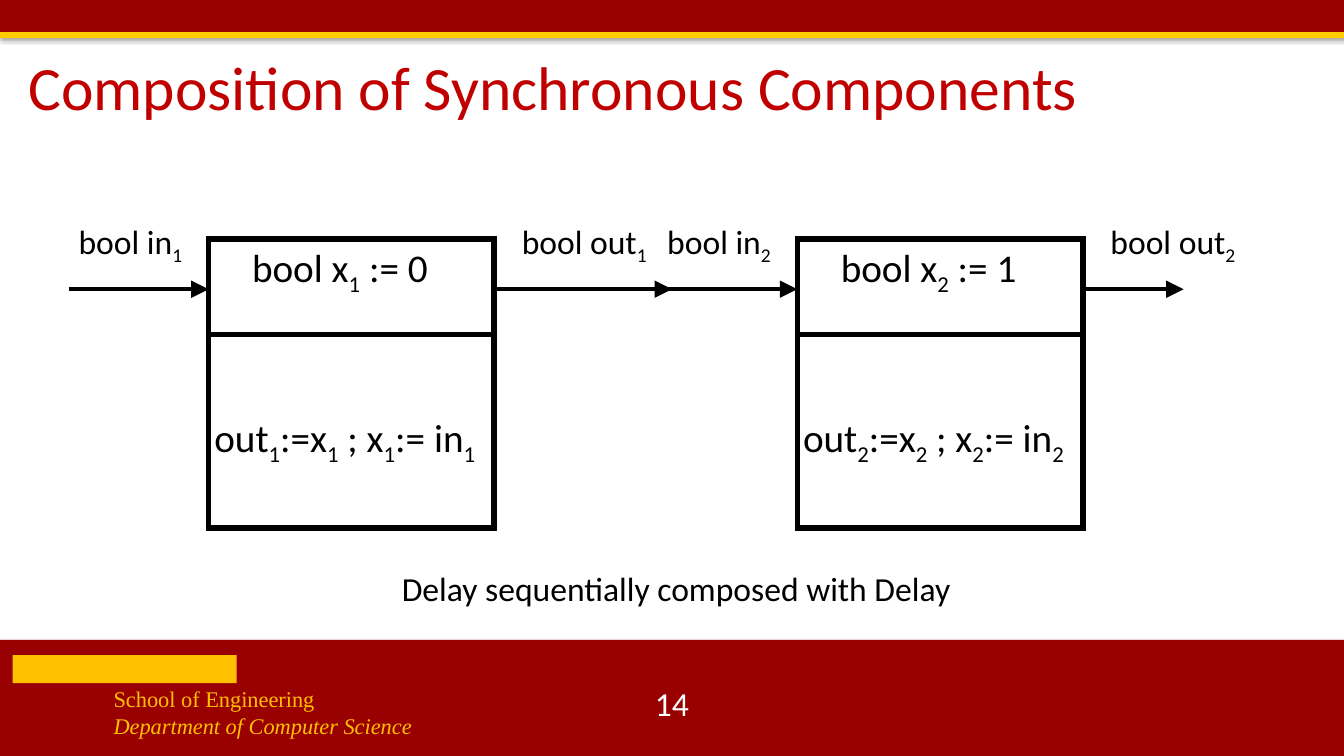
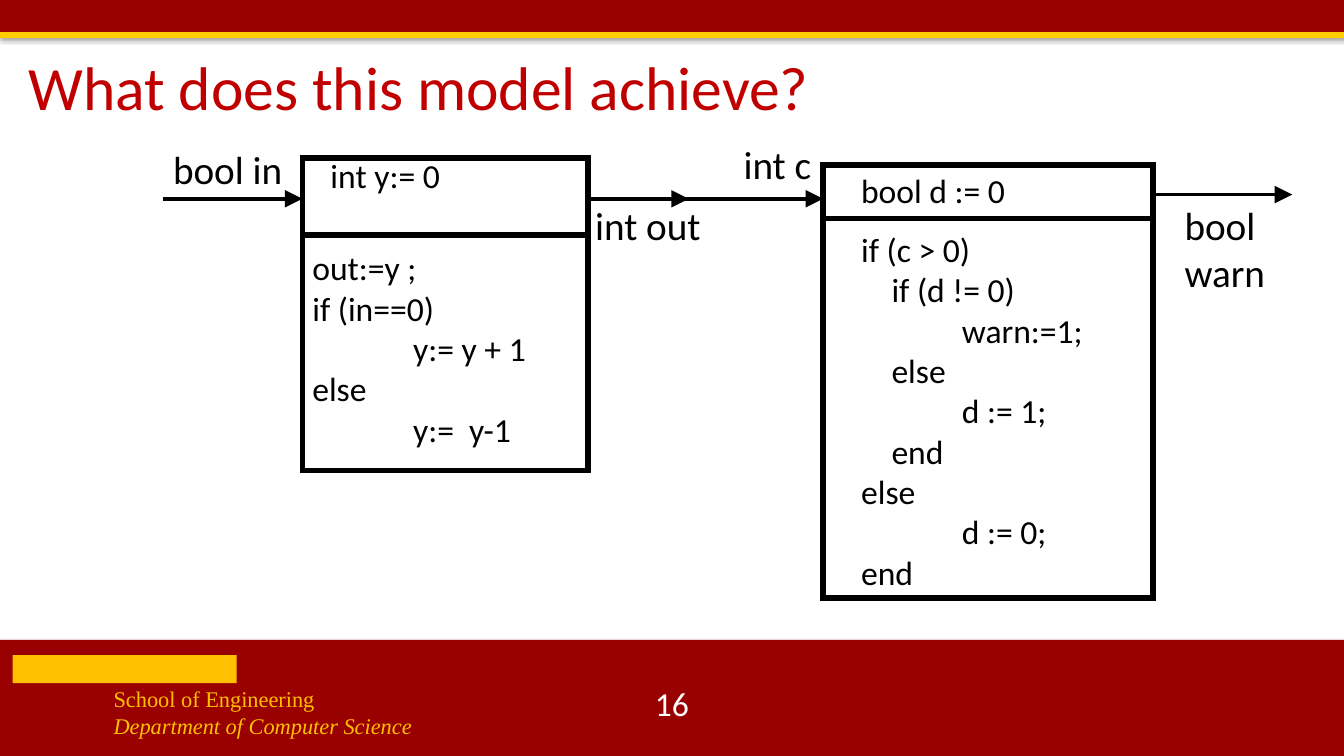
"""Build two lecture slides on composing synchronous components."""
import lxml.etree
import pptx
import pptx.dml.color
import pptx.enum.shapes
import pptx.enum.text
import pptx.oxml
import pptx.oxml.ns
import pptx.util

Pt = pptx.util.Pt
RGBColor = pptx.dml.color.RGBColor
ALIGN = pptx.enum.text.PP_ALIGN
ANCHOR = pptx.enum.text.MSO_ANCHOR
qn = pptx.oxml.ns.qn

CARDINAL = RGBColor(0x99, 0x00, 0x00)
GOLD = RGBColor(0xFF, 0xCC, 0x00)
FOOTER_GOLD = RGBColor(0xFF, 0xC0, 0x00)
TITLE_RED = RGBColor(0xC0, 0x00, 0x00)
BLACK = RGBColor(0x00, 0x00, 0x00)
WHITE = RGBColor(0xFF, 0xFF, 0xFF)

BODY_FONT = "Calibri"
FOOTER_FONT = "Times New Roman"
WIDTH, HEIGHT = 960, 540
FOOTER_TOP = 457
TAB = 72
BAND_SHADOW = (
    f'<a:effectLst {pptx.oxml.ns.nsdecls("a")}>'
    '<a:outerShdw blurRad="39370" dist="22860" dir="5400000" rotWithShape="0">'
    '<a:srgbClr val="000000"><a:alpha val="35000"/></a:srgbClr>'
    '</a:outerShdw></a:effectLst>'
)


class Deck:
    def __init__(self):
        self.presentation = pptx.Presentation()
        self.presentation.slide_width = Pt(WIDTH)
        self.presentation.slide_height = Pt(HEIGHT)
        self.slide = None

    def new_slide(self, heading, number):
        self.slide = self.presentation.slides.add_slide(self.presentation.slide_layouts[5])
        self.band(0, 24, CARDINAL)
        self.band(23, 4.3, GOLD)
        self.band(FOOTER_TOP, HEIGHT - FOOTER_TOP, CARDINAL)
        self.title(heading)
        self.school()
        self.text([number], 372, 488, 216, 29, 24, WHITE, ALIGN.CENTER, ANCHOR.MIDDLE)

    def title(self, heading):
        title = self.slide.shapes.title
        title.left, title.top, title.width, title.height = Pt(13), Pt(34), Pt(860), Pt(61)
        frame = title.text_frame
        frame.text = heading
        frame.auto_size = pptx.enum.text.MSO_AUTO_SIZE.NONE
        frame.vertical_anchor = ANCHOR.MIDDLE
        paragraph = frame.paragraphs[0]
        paragraph.alignment = ALIGN.LEFT
        paragraph.line_spacing = 0.9
        self.style(paragraph.font, 44, TITLE_RED)

    def rectangle(self, left, top, width, height):
        rectangle = self.slide.shapes.add_shape(
            pptx.enum.shapes.MSO_SHAPE.RECTANGLE, Pt(left), Pt(top), Pt(width), Pt(height))
        rectangle.shadow.inherit = False
        return rectangle

    def block(self, left, top, width, height, color):
        block = self.rectangle(left, top, width, height)
        block.fill.solid()
        block.fill.fore_color.rgb = color
        block.line.fill.background()
        return block

    def band(self, top, height, color):
        properties = self.block(0, top, WIDTH, height, color)._element.spPr
        properties.replace(properties.find(qn("a:effectLst")),
                           pptx.oxml.parse_xml(BAND_SHADOW))

    def school(self):
        self.block(9, 468, 160, 20, FOOTER_GOLD)
        frame = self.text(["School of Engineering", "Department of Computer Science"],
                          74, 493 - 7, 300, 46, 16, FOOTER_GOLD, font=FOOTER_FONT)
        frame.paragraphs[1].font.italic = True

    def style(self, font, size, color, name=BODY_FONT):
        font.size = Pt(size)
        font.name = name
        font.color.rgb = color

    def text(self, lines, left, top, width, height, size=24, color=BLACK,
             align=ALIGN.LEFT, anchor=ANCHOR.TOP, font=BODY_FONT):
        """Write lines of text, where an underscore lowers the character after it."""
        box = self.slide.shapes.add_textbox(Pt(left), Pt(top), Pt(width), Pt(height))
        frame = box.text_frame
        frame.word_wrap = True
        frame.vertical_anchor = anchor
        for index, line in enumerate(lines):
            paragraph = frame.add_paragraph() if index else frame.paragraphs[0]
            paragraph.alignment = align
            if "\t" in line:
                stops = lxml.etree.SubElement(paragraph._p.get_or_add_pPr(), qn("a:tabLst"))
                lxml.etree.SubElement(stops, qn("a:tab"), pos=str(Pt(TAB)), algn="l")
            self.style(paragraph.font, size, color, font)
            plain, *lowered = line.split("_")
            pieces = [(plain, False)]
            for part in lowered:
                pieces += [(part[0], True), (part[1:], False)]
            for words, is_subscript in pieces:
                if words:
                    run = paragraph.add_run()
                    run.text = words
                    if is_subscript:
                        run._r.get_or_add_rPr().set("baseline", "-25000")
        return frame

    def line(self, start, end, y, weight):
        line = self.slide.shapes.add_connector(
            pptx.enum.shapes.MSO_CONNECTOR.STRAIGHT, Pt(start), Pt(y), Pt(end), Pt(y))
        line.line.width = Pt(weight)
        line.line.color.rgb = BLACK
        lxml.etree.SubElement(line._element.spPr, qn("a:effectLst"))
        return line

    def arrow(self, start, end, y):
        outline = self.line(start, end, y, 2.5).line._get_or_add_ln()
        lxml.etree.SubElement(outline, qn("a:tailEnd"), type="triangle", w="lg", len="lg")

    def component(self, left, top, width, height, divider):
        box = self.rectangle(left, top, width, height)
        box.fill.background()
        box.line.color.rgb = BLACK
        box.line.width = Pt(4)
        lxml.etree.SubElement(box.line._get_or_add_ln(), qn("a:miter"), lim="800000")
        self.line(left, left + width, divider, 4)


def composition_slide(deck):
    deck.new_slide("Composition of Synchronous Components", "14")
    width, wire = 204, 206.6
    for index, left, initial, output_length in ((1, 149, 0, 127), (2, 569.5, 1, 72)):
        right = left + width
        deck.component(left, 170.6, width, 206.6, 239)
        deck.arrow(left - 100, left, wire)
        deck.arrow(right, right + output_length, wire)
        deck.text([f"bool in_{index}"], left - 100, 154, 95, 36)
        deck.text([f"bool out_{index}"], right + 12.6, 154, 110, 36)
        deck.text([f"bool x_{index} := {initial}"], left + 24, 170.6, 150, 41, 28)
        deck.text([f"out_{index}:=x_{index} ; x_{index}:= in_{index}"],
                  left - 3, 291.6, 215, 41, 28)
    deck.text(["Delay sequentially composed with Delay"], 260, 402, 446, 36, align=ALIGN.CENTER)


def model_slide(deck):
    deck.new_slide("What does this model achieve?", "16")
    wire = 142

    deck.component(216, 113, 204, 223, 168)
    deck.arrow(116.5, 216, wire)
    deck.arrow(420, 492, wire)
    deck.text(["bool in"], 116.5, 100, 98, 33, 28)
    deck.text(["int out"], 418, 140, 98, 33, 28)
    deck.text(["int y:= 0"], 229, 107, 169, 36)
    deck.text(["out:=y ;", "if (in==0)", "\ty:= y + 1", "else", "\ty:=  y-1"],
              216, 173, 190, 153)

    deck.component(588, 118, 235.5, 309, 156)
    deck.arrow(489, 588, wire)
    deck.arrow(823.5, 923, 139)
    deck.text(["int c"], 524, 97, 68, 41, 28)
    deck.text(["bool d := 0"], 608, 118, 169, 36)
    deck.text(["if (c > 0)", "    if (d != 0)", "\twarn:=1;", "    else", "\td := 1;",
               "    end", "else", "\td := 0;", "end"], 608, 160, 190, 269)
    deck.text(["bool warn"], 839, 140.4, 99, 75, 28)


def main():
    deck = Deck()
    composition_slide(deck)
    model_slide(deck)
    deck.presentation.save("out.pptx")


if __name__ == "__main__":
    main()
